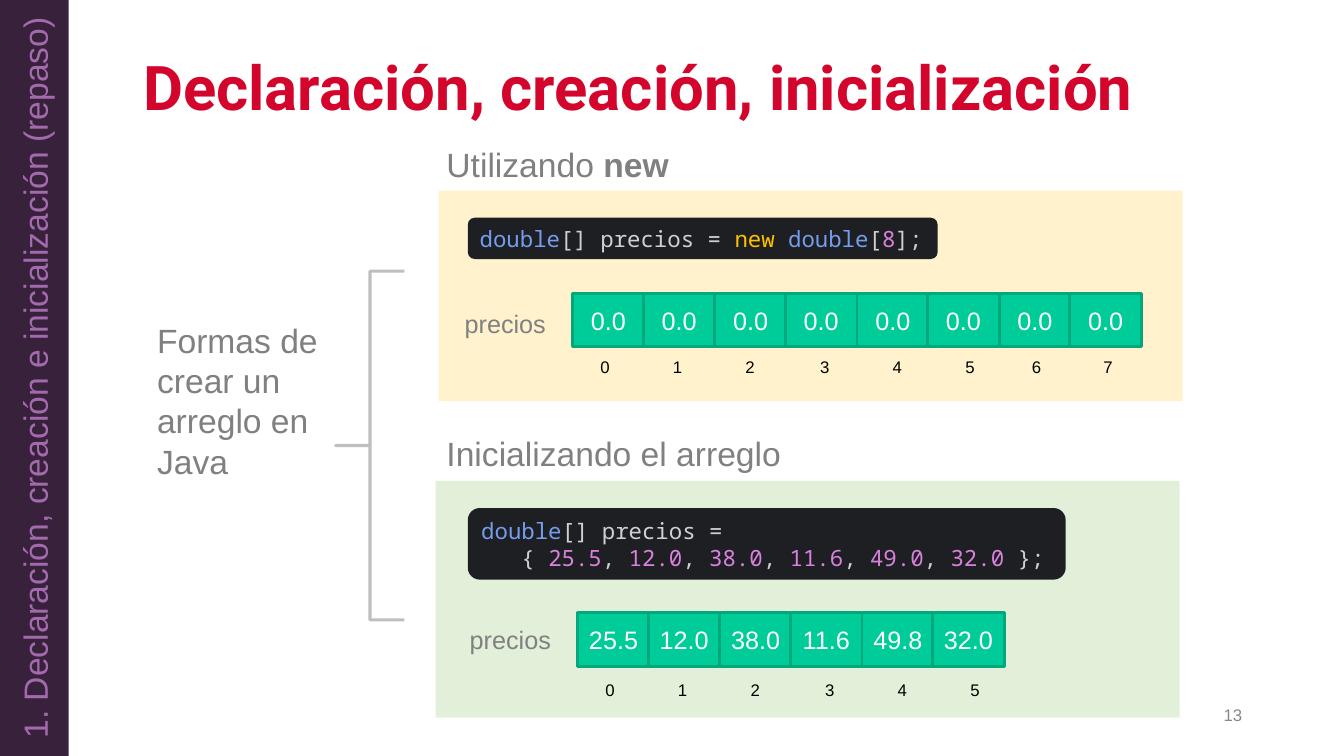
from pptx import Presentation
from pptx.dml.color import RGBColor
from pptx.enum.shapes import MSO_SHAPE
from pptx.enum.text import MSO_ANCHOR, MSO_AUTO_SIZE, PP_ALIGN
from pptx.util import Emu, Pt

RECT, ROUNDED, BRACE = MSO_SHAPE.RECTANGLE, MSO_SHAPE.ROUNDED_RECTANGLE, MSO_SHAPE.LEFT_BRACE
LEFT, CENTER, RIGHT = PP_ALIGN.LEFT, PP_ALIGN.CENTER, PP_ALIGN.RIGHT
TOP, MIDDLE = MSO_ANCHOR.TOP, MSO_ANCHOR.MIDDLE
FIXED, GROW = MSO_AUTO_SIZE.NONE, MSO_AUTO_SIZE.SHAPE_TO_FIT_TEXT

COLORS = {
    "title": "D3052C", "gray": "808080", "number": "888888", "index": "000000",
    "band": "38213B", "band text": "A36AAE", "yellow": "FFF2CC", "green": "E2F0D9",
    "code": "1E1F22", "type": "749DED", "plain": "CED0D6", "keyword": "FFC000",
    "literal": "D981DE", "cell": "00CC99", "cell line": "00A87C", "white": "FFFFFF",
    "brace": "BFBFBF",
}

# Content: lengths in px, 100 px to the inch
PX = 9144
SLIDE_SIZE = (1333, 750)
TITLE = "Declaración, creación, inicialización"
SECTION = "1. Declaración, creación e inicialización (repaso)"
PANELS = [((432, 477, 738, 235), "green"), ((435, 189, 738, 209), "yellow")]
LABELS = [  # place, runs as (text, bold)
    ((146, 312, 183, 172), [("Formas de crear un arreglo en Java", False)]),
    ((433, 138, 324, 50), [("Utilizando ", False), ("new", True)]),
    ((433, 425, 385, 50), [("Inicializando el arreglo", False)]),
]
CODE_NEW = [[("double", "type"), ("[] precios = ", "plain"), ("new", "keyword"),
             (" double", "type"), ("[", "plain"), ("8", "literal"), ("];", "plain")]]
CODE_VALUES = [
    [("double", "type"), ("[] precios =", "plain")],
    [("   { ", "plain"), ("25.5", "literal"), (", ", "plain"), ("12.0", "literal"),
     (", ", "plain"), ("38.0", "literal"), (", ", "plain"), ("11.6", "literal"),
     (", ", "plain"), ("49.0", "literal"), (", ", "plain"), ("32.0 ", "literal"),
     ("};", "plain")],
]
CODES = [((464, 216, 466, 41), CODE_NEW), ((464, 504, 593, 71), CODE_VALUES)]
ARRAYS = [  # left, cell top, index top, name top, values
    (568, 291, 349, 301, ["0.0"] * 8),
    (573, 608, 669, 614, ["25.5", "12.0", "38.0", "11.6", "49.8", "32.0"]),
]
INDEX_CENTERS = [32, 104, 176, 250, 322, 394, 460, 531]  # from the array's left edge
CELL_W, CELL_H, TWO_CELLS = 71, 53, 141


def emu(place):
    return [Emu(length * PX) for length in place]


def color(name):
    return RGBColor.from_string(COLORS[name])


def write(box, lines, size, font="Arial", align=LEFT, anchor=TOP, fit=FIXED, wrap=True):
    """Fill a box with lines of (text, colour name, bold) runs."""
    frame = box.text_frame
    frame.word_wrap = wrap
    frame.auto_size = fit
    frame.vertical_anchor = anchor
    for number, line in enumerate(lines):
        para = frame.add_paragraph() if number else frame.paragraphs[0]
        para.alignment = align
        for text, tint, bold in line:
            span = para.add_run()
            span.text = text
            span.font.name = font
            span.font.size = Pt(size)
            span.font.bold = bold
            span.font.color.rgb = color(tint)


def add_shape(shapes, kind, place, fill=None, line=None, width=2):
    shape = shapes.add_shape(kind, *emu(place))
    shape.shadow.inherit = False
    if fill:
        shape.fill.solid()
        shape.fill.fore_color.rgb = color(fill)
    else:
        shape.fill.background()
    if line:
        shape.line.color.rgb = color(line)
        shape.line.width = Pt(width)
    else:
        shape.line.fill.background()
    return shape


def add_text(shapes, place, runs, size, **layout):
    write(shapes.add_textbox(*emu(place)), [runs], size, **layout)


def add_array(page, left, cell_top, index_top, name_top, values):
    group = page.shapes.add_group_shape().shapes
    for i, value in enumerate(values):
        place = (left + i * TWO_CELLS // 2, cell_top, CELL_W, CELL_H)
        cell = add_shape(group, RECT, place, "cell", "cell line")
        write(cell, [[(value, "white", False)]], 18, align=CENTER, anchor=MIDDLE)
    for i, center in enumerate(INDEX_CENTERS[:len(values)]):
        add_text(group, (left + center - 15, index_top, 30, 30),
                 [(str(i), "index", False)], 12, align=CENTER, fit=GROW)
    add_text(group, (left - 117, name_top, 101, 40), [("precios", "gray", False)], 18, fit=GROW)


def main():
    deck = Presentation()
    deck.slide_width, deck.slide_height = emu(SLIDE_SIZE)
    page = deck.slides.add_slide(deck.slide_layouts[5])
    shapes = page.shapes

    # Coloured panels
    for place, fill in PANELS:
        add_shape(shapes, RECT, place, fill)

    # Title and page number
    title = shapes.title
    title.left, title.top, title.width, title.height = emu((132, 47, 1110, 86))
    write(title, [[(TITLE, "title", True)]], 44, font="Roboto", anchor=MIDDLE)
    title.text_frame.paragraphs[0].line_spacing = 0.9
    add_text(shapes, (942, 689, 300, 40), [("13", "number", False)], 12,
             align=RIGHT, anchor=MIDDLE)

    # Section band, read from bottom to top
    band = add_shape(shapes, RECT, (0, 0, 68, 750), "band")
    write(band, [[(SECTION, "band text", False)]], 24, align=CENTER, anchor=MIDDLE)
    band.element.txBody.bodyPr.set("vert", "vert270")

    # Code boxes
    for place, code in CODES:
        box = add_shape(shapes, ROUNDED, place, "code")
        lines = [[(text, tint, False) for text, tint in line] for line in code]
        write(box, lines, 16, font="Noto Sans Mono", anchor=MIDDLE, fit=GROW, wrap=False)

    # Labels
    for place, runs in LABELS:
        add_text(shapes, place, [(text, "gray", bold) for text, bold in runs], 24, fit=GROW)

    # Arrays with their indices
    for array in ARRAYS:
        add_array(page, *array)

    # Square brace joining both forms
    brace = add_shape(shapes, BRACE, (333, 269, 68, 346), line="brace", width=2.25)
    brace.adjustments[0] = 0
    brace.adjustments[1] = 0.5

    deck.save("out.pptx")


if __name__ == "__main__":
    main()
